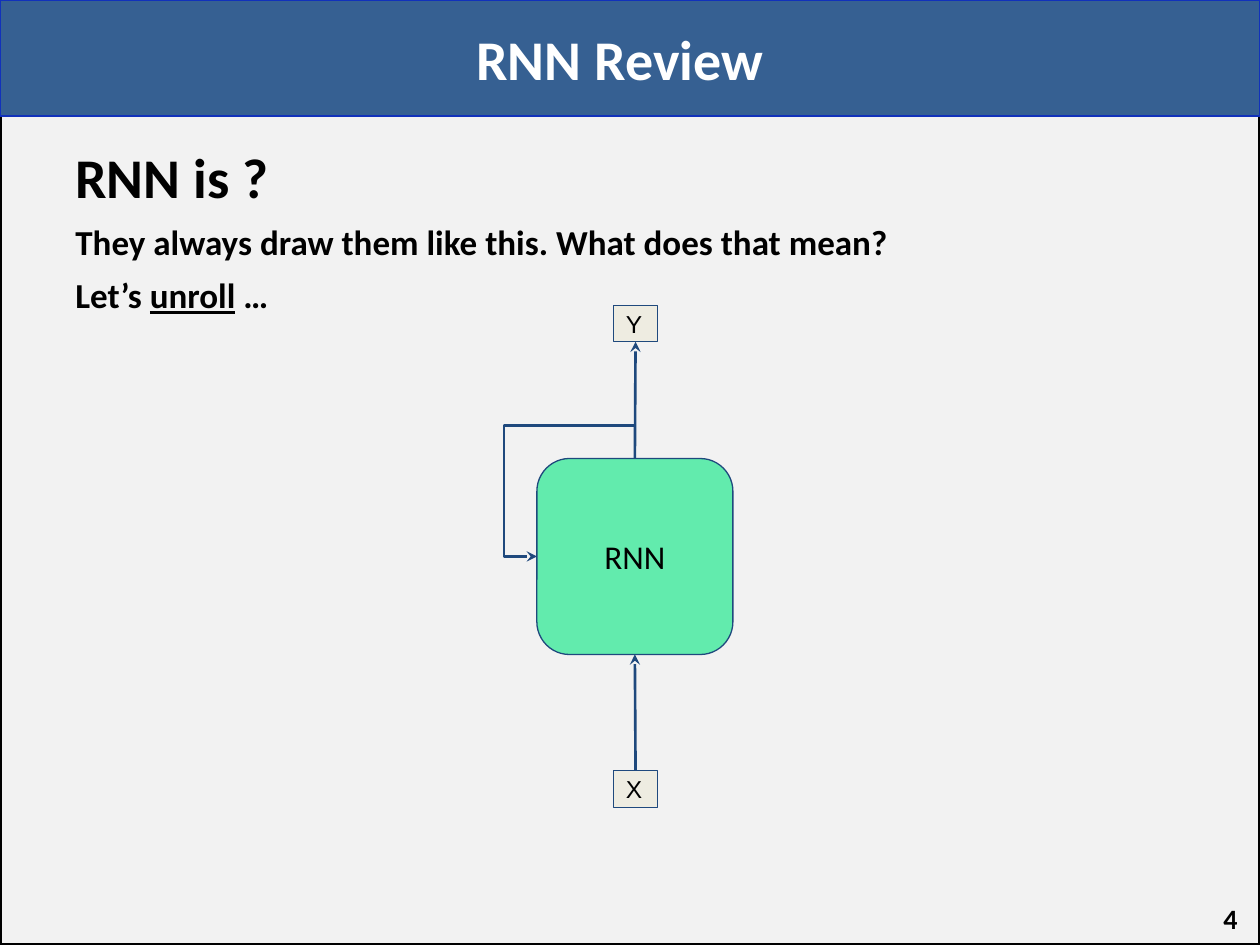
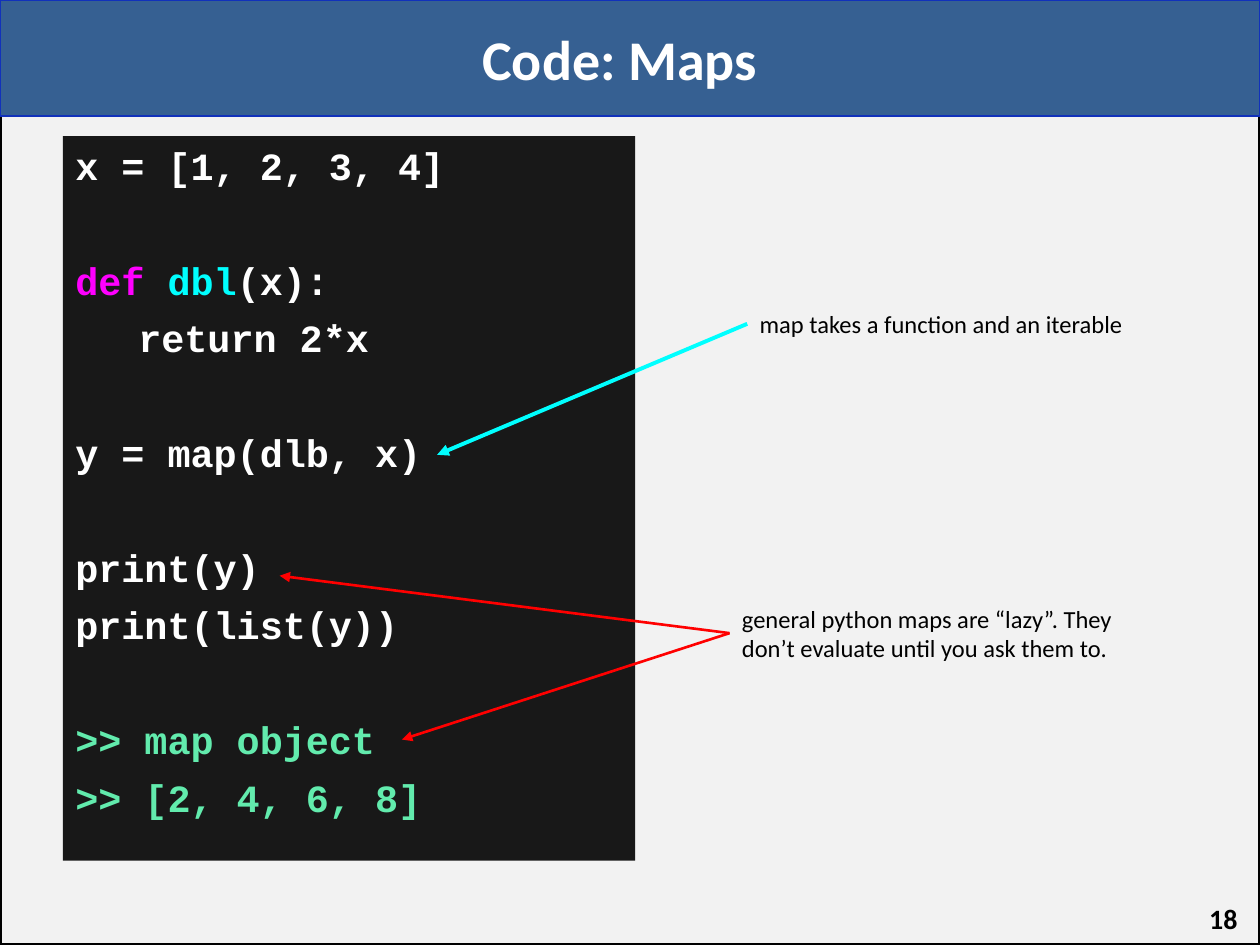
import pptx
import pptx.dml.color
import pptx.enum.shapes
import pptx.enum.text
import pptx.oxml.ns
import pptx.util

Pt = pptx.util.Pt
qn = pptx.oxml.ns.qn
SHAPE = pptx.enum.shapes.MSO_SHAPE
CONNECTOR = pptx.enum.shapes.MSO_CONNECTOR
ANCHOR = pptx.enum.text.MSO_ANCHOR
ALIGN = pptx.enum.text.PP_ALIGN

SLIDE_WIDTH, SLIDE_HEIGHT, BAND_HEIGHT = 720, 540, 66.24
TOP, LEFT, BOTTOM, RIGHT = range(4)

COLORS = {
    "background": "1F497D", "panel": "F2F2F2", "band": "366092",
    "band_line": "1131BB", "ink": "000000", "white": "FFFFFF",
    "navy": "1F497D", "mint": "62EBAD", "node": "EEECE1",
    "code": "181818", "keyword": "FF00FF", "cyan": "00FFFF", "red": "FF0000",
}


def rgb(name):
    return pptx.dml.color.RGBColor.from_string(COLORS[name])


# Text
def write_text(shape, paragraphs, size=14, font="Calibri", color="ink", bold=False,
               align=ALIGN.LEFT, anchor=ANCHOR.TOP, inset=3.6, space_before=None,
               line_spacing=None):
    """Each paragraph is a string or a list of (text, overrides) runs."""
    frame = shape.text_frame
    frame.word_wrap = True
    frame.auto_size = pptx.enum.text.MSO_AUTO_SIZE.NONE
    frame.vertical_anchor = anchor
    frame.margin_left = frame.margin_right = Pt(7.2)
    frame.margin_top = frame.margin_bottom = Pt(inset)
    if isinstance(paragraphs, str):
        paragraphs = [paragraphs]
    for index, runs in enumerate(paragraphs):
        paragraph = frame.add_paragraph() if index else frame.paragraphs[0]
        paragraph.alignment = align
        if space_before is not None:
            paragraph.space_before = Pt(space_before)
        if line_spacing is not None:
            paragraph.line_spacing = Pt(line_spacing)
        if isinstance(runs, str):
            runs = [(runs, {})]
        for text, overrides in runs:
            run = paragraph.add_run()
            run.text = text
            run.font.name = font
            run.font.size = Pt(overrides.get("size", size))
            run.font.bold = bold
            run.font.underline = overrides.get("underline")
            run.font.color.rgb = rgb(overrides.get("color", color))
    return frame


def add_text(slide, box, paragraphs, **text_format):
    shape = slide.shapes.add_textbox(*map(Pt, box))
    write_text(shape, paragraphs, **text_format)
    return shape


# Shapes and lines
def add_box(slide, box, fill, line=None, line_width=0.75, kind=SHAPE.RECTANGLE):
    shape = slide.shapes.add_shape(kind, *map(Pt, box))
    shape.shadow.inherit = False
    shape.fill.solid()
    shape.fill.fore_color.rgb = rgb(fill)
    if line:
        shape.line.color.rgb = rgb(line)
        shape.line.width = Pt(line_width)
    else:
        shape.line.fill.background()
    return shape


def add_arrow(slide, start, end, color, width=1.5, head="triangle", kind=CONNECTOR.STRAIGHT):
    """Each end is an (x, y) point or a (shape, side) joint."""
    joined = [not isinstance(place[0], (int, float)) for place in (start, end)]
    points = [(0, 0) if joint else place for joint, place in zip(joined, (start, end))]
    connector = slide.shapes.add_connector(kind, *map(Pt, points[0] + points[1]))
    if joined[0]:
        connector.begin_connect(*start)
    if joined[1]:
        connector.end_connect(*end)
    connector.line.color.rgb = rgb(color)
    connector.line.width = Pt(width)
    properties = connector.element.spPr
    outline = properties.find(qn("a:ln"))
    tail = outline.makeelement(qn("a:tailEnd"), {"type": head})
    outline.append(tail)
    properties.append(properties.makeelement(qn("a:effectLst"), {}))
    return connector


def add_loop(slide, box):
    """Elbow arrow from the top of a square box round to its left side."""
    left, top, width, _ = box
    half = width / 2
    loop = add_arrow(slide, (left, top), (left + half, top + half), "navy",
                     head="stealth", kind=CONNECTOR.ELBOW)
    properties = loop.element.spPr
    properties.find(qn("a:xfrm")).set("rot", "5400000")
    geometry = properties.find(qn("a:prstGeom"))
    geometry.set("prst", "bentConnector4")
    guides = geometry.find(qn("a:avLst"))
    for name, value in (("adj1", -33500), ("adj2", 133500)):
        guide = {"name": name, "fmla": f"val {value}"}
        guides.append(guides.makeelement(qn("a:gd"), guide))


# Shared frame: panel, band, title, number
def add_slide(presentation, title_text, number):
    slide = presentation.slides.add_slide(presentation.slide_layouts[5])
    slide.background.fill.solid()
    slide.background.fill.fore_color.rgb = rgb("background")
    add_box(slide, (0, 0, SLIDE_WIDTH, SLIDE_HEIGHT), "panel", "ink", 2)
    band = add_box(slide, (0, 0, SLIDE_WIDTH, BAND_HEIGHT), "band", "band_line")
    title = slide.shapes.title
    title.left, title.top, title.width, title.height = map(Pt, (12.24, 0, 684, BAND_HEIGHT))
    write_text(title, title_text, size=32, color="white", bold=True,
               align=ALIGN.CENTER, anchor=ANCHOR.MIDDLE)
    band.element.addnext(title.element)
    add_text(slide, (648, 509.76, 66.24, 30.24), str(number), size=16, bold=True,
             align=ALIGN.RIGHT, anchor=ANCHOR.MIDDLE)
    return slide


# Recurrent network diagram
def add_node(slide, label, top):
    node = add_box(slide, (350.6, top, 25.2, 20.9), "node", "navy")
    write_text(node, label, font="Arial", anchor=ANCHOR.MIDDLE, inset=7.2)
    return node


def build_review(presentation):
    slide = add_slide(presentation, "RNN Review", 4)
    add_text(slide, (36, 77.76, 653.76, 136), [
        [("RNN is ?", {"size": 32})],
        "They always draw them like this. What does that mean?",
        [("Let’s ", {}), ("unroll", {"underline": True}), (" …", {})],
    ], size=20, bold=True, space_before=6.4)

    cell_box = (306.8, 262, 112, 112)
    cell = add_box(slide, cell_box, "mint", "navy", kind=SHAPE.ROUNDED_RECTANGLE)
    write_text(cell, "RNN", size=19, align=ALIGN.CENTER, anchor=ANCHOR.MIDDLE, inset=7.2)
    input_node = add_node(slide, "X", 440.4)
    output_node = add_node(slide, "Y", 174.4)
    add_arrow(slide, (input_node, TOP), (cell, BOTTOM), "navy", head="stealth")
    add_arrow(slide, (cell, TOP), (output_node, BOTTOM), "navy", head="stealth")
    add_loop(slide, cell_box)


# Code panel with callouts
def add_code(slide, box, blocks, line_height=26.4, gap=6.4):
    """Blocks of lines, one empty line's height apart."""
    panel = add_box(slide, box, "code")
    lines = [line for block in blocks for line in block]
    frame = write_text(panel, lines, size=22, font="Courier New", color="white",
                       bold=True, space_before=gap, line_spacing=line_height)
    frame.paragraphs[0].space_before = Pt(3)
    first_line = 0
    for block in blocks[:-1]:
        first_line += len(block)
        frame.paragraphs[first_line].space_before = Pt(2 * gap + line_height)
    return panel


def indent_line(shape, index, indent):
    paragraph = list(shape.element.iter(qn("a:p")))[index]
    paragraph.get_or_add_pPr().set("indent", str(Pt(indent)))


def add_callout(slide, left, top, height, text, targets, color, width):
    note = add_text(slide, (left, top, 247, height), text, inset=7.2)
    for target in targets:
        add_arrow(slide, (note, LEFT), target, color, width)


def build_maps(presentation):
    slide = add_slide(presentation, "Code: Maps", 18)
    result = {"color": "mint"}
    code = add_code(slide, (36, 77.76, 327, 414), [
        ["x = [1, 2, 3, 4]"],
        [[("def ", {"color": "keyword"}), ("dbl", {"color": "cyan"}), ("(x):", {})],
         "return 2*x"],
        ["y = map(dlb, x)"],
        ["print(y)", "print(list(y))"],
        [[(">> map object", result)], [(">> [2, 4, 6, 8]", result)]],
    ])
    indent_line(code, 2, 36)
    add_callout(slide, 416.9, 337.7, 48.2,
                "general python maps are “lazy”. They don’t evaluate until you ask them to.",
                [(159.8, 329), (229.7, 422.6)], "red", 1.5)
    add_callout(slide, 427, 169.2, 31.7, "map takes a function and an iterable",
                [(249.8, 259.9)], "cyan", 2.25)


def main():
    presentation = pptx.Presentation()
    presentation.slide_width = Pt(SLIDE_WIDTH)
    presentation.slide_height = Pt(SLIDE_HEIGHT)
    build_review(presentation)
    build_maps(presentation)
    presentation.save("out.pptx")


if __name__ == "__main__":
    main()
